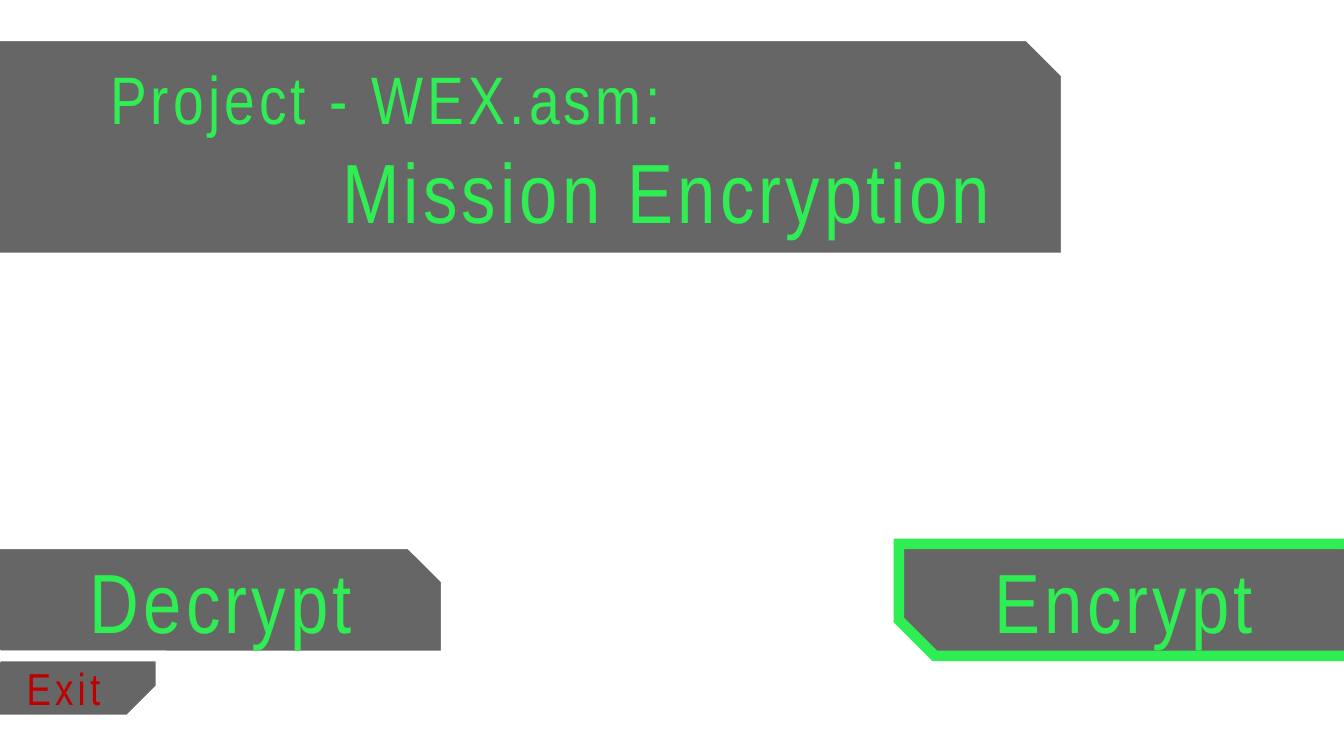
from lxml.etree import SubElement
from pptx import Presentation
from pptx.dml.color import RGBColor
from pptx.enum.shapes import MSO_SHAPE
from pptx.enum.text import MSO_ANCHOR, MSO_AUTO_SIZE, PP_ALIGN
from pptx.oxml.ns import qn
from pptx.util import Emu, Pt

EMU_PER_PIXEL = 914400 / 100.8
COLORS = {"panel": "000000", "white": "FFFFFF", "green": "2EEE53", "red": "C00000"}
FONT = "Arial Narrow"


def pixels(value):
    return Emu(round(value * EMU_PER_PIXEL))


def color(name):
    return RGBColor.from_string(COLORS[name])


def add_panel(slide, box, snips, outline="white"):
    """Add a translucent panel with two diagonally opposite corners cut."""
    shape = slide.shapes.add_shape(MSO_SHAPE.SNIP_2_DIAG_RECTANGLE, *map(pixels, box))
    shape.shadow.inherit = False
    for index, snip in enumerate(snips):
        shape.adjustments[index] = snip
    shape.fill.solid()
    shape.fill.fore_color.rgb = color("panel")
    fill_color = shape.element.spPr.find(qn("a:solidFill"))[0]
    SubElement(fill_color, qn("a:alpha"), val="60000")
    shape.line.color.rgb = color(outline)
    shape.line.width = Pt(7.5)
    SubElement(shape.element.spPr.find(qn("a:ln")), qn("a:miter"), lim="800000")


def write_text(shape, text, *, size, fill="green", align=PP_ALIGN.CENTER):
    frame = shape.text_frame
    frame.word_wrap = True
    frame.auto_size = MSO_AUTO_SIZE.NONE
    frame.vertical_anchor = MSO_ANCHOR.MIDDLE
    frame.margin_left = frame.margin_right = 0
    frame.margin_top = frame.margin_bottom = pixels(5)
    paragraph = frame.paragraphs[0]
    paragraph.alignment = align
    paragraph.line_spacing = 1.0
    paragraph.space_before = Pt(0)
    run = paragraph.add_run()
    run.text = text
    run.font.name = FONT
    run.font.size = Pt(size)
    run.font.color.rgb = color(fill)
    run.font._element.set("spc", "300")


def add_label(slide, box, text, **text_format):
    write_text(slide.shapes.add_textbox(*map(pixels, box)), text, **text_format)


def place_placeholder(placeholder, box, text, **text_format):
    """Position a placeholder, bring it to the front and fill it."""
    placeholder.left, placeholder.top, placeholder.width, placeholder.height = map(pixels, box)
    placeholder.element.getparent().append(placeholder.element)
    write_text(placeholder, text, **text_format)


def main():
    presentation = Presentation()
    presentation.slide_width = pixels(1344)
    presentation.slide_height = pixels(756)
    slide = presentation.slides.add_slide(presentation.slide_layouts[0])
    title, subtitle = slide.placeholders

    # Decrypt and Encrypt buttons
    for text, panel_left, label_left, outline in (
        ("Decrypt", -37, -4, "white"),
        ("Encrypt", 899, 899, "green"),
    ):
        add_panel(slide, (panel_left, 544, 483, 112), (0, 0.32), outline)
        add_label(slide, (label_left, 544, 450, 112), text, size=60)

    # Heading banner
    add_panel(slide, (-41, 36, 1107, 222), (0, 0.17))
    place_placeholder(subtitle, (110, 52, 900, 91), "Project - WEX.asm:",
                      size=48, align=PP_ALIGN.LEFT)
    place_placeholder(title, (274, 134, 786, 112), "Mission Encryption", size=60)

    # Exit button
    add_panel(slide, (-33, 656, 194, 64), (0.5, 0))
    add_label(slide, (-24, 656, 175, 64), "Exit", size=32, fill="red")

    presentation.save("out.pptx")


main()
